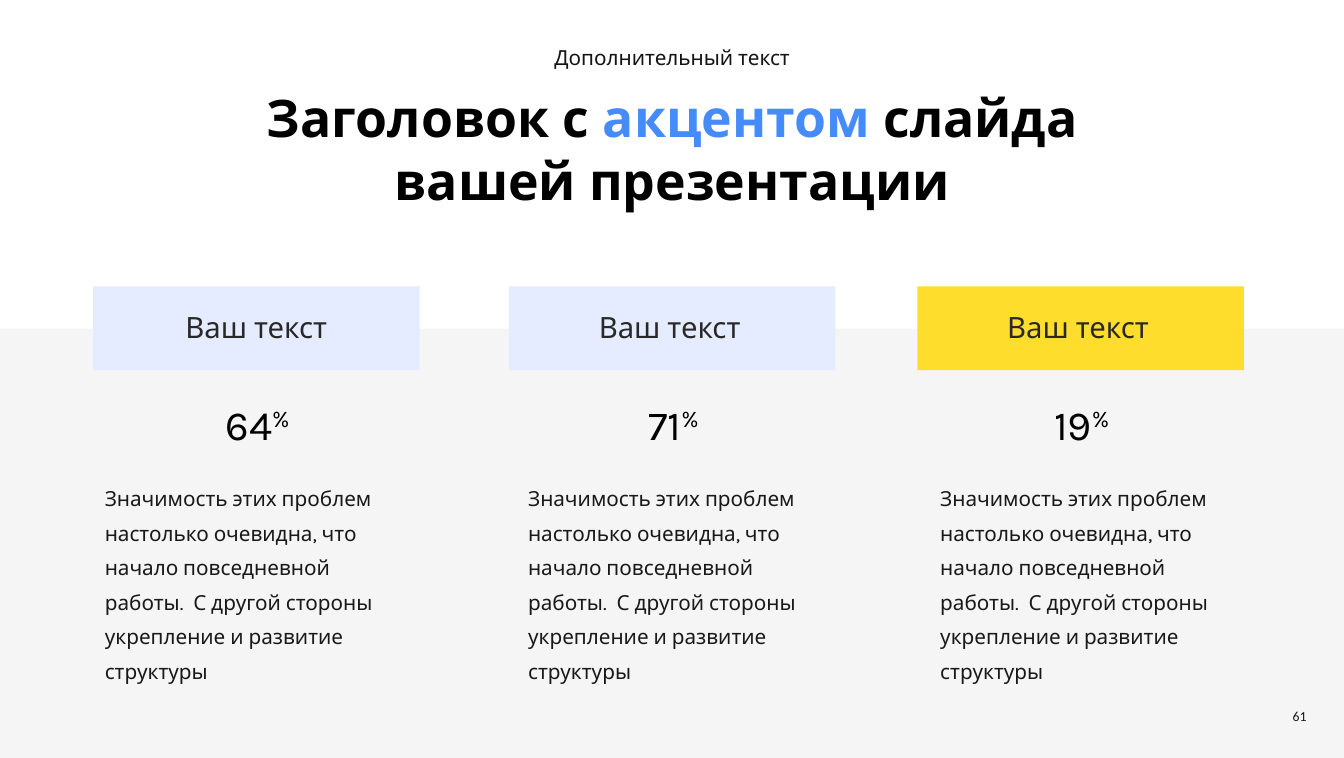
from dataclasses import dataclass

from pptx import Presentation
from pptx.dml.color import RGBColor
from pptx.enum.shapes import MSO_SHAPE
from pptx.enum.text import MSO_ANCHOR, MSO_AUTO_SIZE, PP_ALIGN
from pptx.util import Inches, Pt


@dataclass(frozen=True)
class Theme:
    font: str = "Karla"
    number_font: str = "Calibri"
    background: str = "F5F5F6"
    band: str = "FFFFFF"
    card: str = "E5ECFF"
    card_accent: str = "FFDD2C"
    heading: str = "000000"
    accent: str = "458BF9"
    label: str = "282828"
    body: str = "1A1919"
    subtitle: str = "141414"
    title_size: int = 60
    figure_size: int = 48
    label_size: int = 34
    body_size: int = 24
    number_size: int = 16


THEME = Theme()

# The page measures 55 by 31 centimetres
CM_PER_INCH = 2.54
PAGE_WIDTH = Inches(55 / CM_PER_INCH)
PAGE_HEIGHT = Inches(31 / CM_PER_INCH)

BODY_TEXT = ("Значимость этих проблем настолько очевидна, что начало повседневной "
             "работы.  С другой стороны укрепление и развитие структуры")

# Figure, card colour, then the left edges of card, label and body text
COLUMNS = [
    ("64", THEME.card, 1.5, 1.54, 1.59),
    ("71", THEME.card, 8.2, 8.2, 8.41),
    ("19", THEME.card_accent, 14.78, 14.78, 15.05),
]


def apply(target, formats):
    for name, value in formats.items():
        setattr(target, name, value)


def add_panel(page, left, top, width, height, color):
    panel = page.shapes.add_shape(MSO_SHAPE.RECTANGLE, Inches(left), Inches(top),
                                  Inches(width), Inches(height))
    panel.shadow.inherit = False
    panel.fill.solid()
    panel.fill.fore_color.rgb = RGBColor.from_string(color)
    panel.line.fill.background()


def set_frame(frame, anchor=MSO_ANCHOR.TOP, side_inset=0.1):
    apply(frame, {
        "word_wrap": True,
        "auto_size": MSO_AUTO_SIZE.NONE,
        "vertical_anchor": anchor,
        "margin_left": Inches(side_inset),
        "margin_right": Inches(side_inset),
        "margin_top": Inches(0.05),
        "margin_bottom": Inches(0.05),
    })


def add_span(para, text, size, color, font=THEME.font, bold=False):
    span = para.add_run()
    span.text = text
    apply(span.font, {"name": font, "size": Pt(size), "bold": bold})
    span.font.color.rgb = RGBColor.from_string(color)
    return span


def add_text(page, left, top, width, height, text, size, color, font=THEME.font,
             align=PP_ALIGN.CENTER, line_spacing=None, **frame_formats):
    box = page.shapes.add_textbox(Inches(left), Inches(top), Inches(width), Inches(height))
    set_frame(box.text_frame, **frame_formats)
    para = box.text_frame.paragraphs[0]
    apply(para, {"alignment": align,
                 "line_spacing": Pt(line_spacing) if line_spacing else None})
    add_span(para, text, size, color, font)
    return para


def set_title(page):
    title = page.shapes.title
    apply(title, {"left": Inches(4.1), "top": Inches(1.33),
                  "width": Inches(13.46), "height": Inches(2.13)})
    frame = title.text_frame
    set_frame(frame, side_inset=0.05)
    lines = [
        [("Заголовок с ", THEME.heading), ("акцентом", THEME.accent),
         (" слайда", THEME.heading)],
        [("вашей презентации", THEME.heading)],
    ]
    for index, spans in enumerate(lines):
        para = frame.add_paragraph() if index else frame.paragraphs[0]
        apply(para, {"alignment": PP_ALIGN.CENTER, "space_before": Pt(index)})
        for text, color in spans:
            add_span(para, text, THEME.title_size, color, bold=True)


def add_column(page, figure, color, card_left, label_left, body_left):
    centred = {"anchor": MSO_ANCHOR.MIDDLE, "side_inset": 0.05}
    add_panel(page, card_left, 4.61, 5.26, 1.35, color)
    add_text(page, label_left, 4.77, 5.18, 0.96, "Ваш текст", THEME.label_size,
             THEME.label, line_spacing=42, **centred)
    para = add_text(page, card_left + 1.73, 6.34, 1.84, 0.96, figure, THEME.figure_size,
                    THEME.heading, line_spacing=58, **centred)
    percent = add_span(para, "%", THEME.figure_size, THEME.heading)
    percent._r.get_or_add_rPr().set("baseline", "30000")
    add_text(page, body_left, 7.62, 4.78, 3.02, BODY_TEXT, THEME.body_size, THEME.body,
             align=PP_ALIGN.LEFT, line_spacing=40)


def main():
    deck = Presentation()
    apply(deck, {"slide_width": PAGE_WIDTH, "slide_height": PAGE_HEIGHT})
    page = deck.slides.add_slide(deck.slide_layouts.get_by_name("Title Only"))

    # Background and white upper band
    page.background.fill.solid()
    page.background.fill.fore_color.rgb = RGBColor.from_string(THEME.background)
    add_panel(page, 0, 0, PAGE_WIDTH.inches, 5.29, THEME.band)
    # Bring the title in front of the band
    page.shapes.element.append(page.shapes.title.element)

    # Heading
    add_text(page, 4.16, 0.67, 13.34, 0.5, "Дополнительный текст", THEME.body_size,
             THEME.subtitle)
    set_title(page)

    # Three columns
    for column in COLUMNS:
        add_column(page, *column)

    # Page number
    add_text(page, 19.98, 11.29, 1.17, 0.47, "61", THEME.number_size, THEME.body,
             font=THEME.number_font, align=PP_ALIGN.RIGHT, anchor=MSO_ANCHOR.MIDDLE)

    deck.save("out.pptx")


if __name__ == "__main__":
    main()
